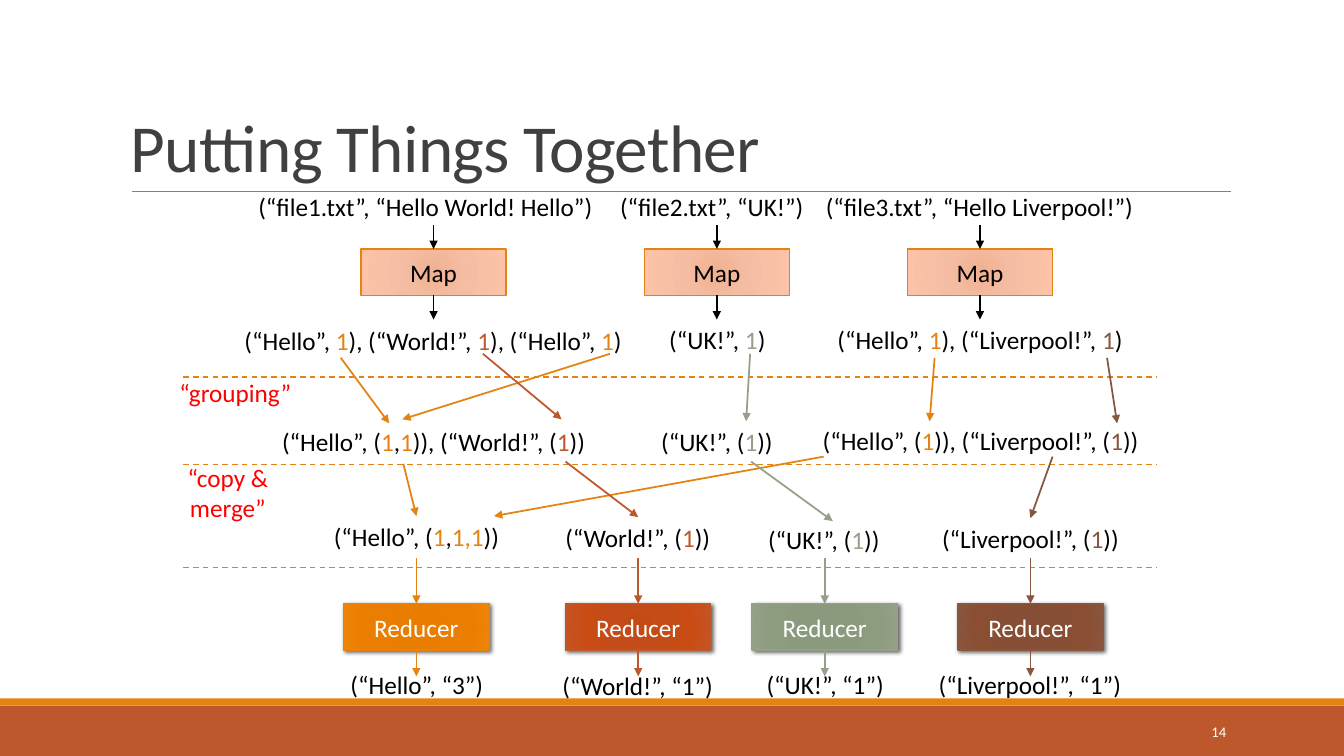
from lxml import etree
from pptx import Presentation
from pptx.dml.color import RGBColor
from pptx.enum.dml import MSO_LINE
from pptx.enum.shapes import MSO_CONNECTOR, MSO_SHAPE
from pptx.enum.text import MSO_ANCHOR, PP_ALIGN
from pptx.oxml import parse_xml
from pptx.oxml.ns import nsdecls, qn
from pptx.util import Inches, Pt

RECTANGLE = MSO_SHAPE.RECTANGLE
STRAIGHT = MSO_CONNECTOR.STRAIGHT
DASH = MSO_LINE.DASH
TOP, MIDDLE, BOTTOM = MSO_ANCHOR.TOP, MSO_ANCHOR.MIDDLE, MSO_ANCHOR.BOTTOM
LEFT, CENTER, RIGHT = PP_ALIGN.LEFT, PP_ALIGN.CENTER, PP_ALIGN.RIGHT

BLACK, WHITE, RED = "000000", "FFFFFF", "FF0000"
HELLO, WORLD, UK, LIVERPOOL = "E48312", "BD582C", "94A088", "865640"
rgb = RGBColor.from_string

prs = Presentation()
prs.slide_width, prs.slide_height = Inches(13.33), Inches(7.5)
slide = prs.slides.add_slide(prs.slide_layouts[6])
shapes = slide.shapes


def write(shape, pieces, size=18, align=CENTER, anchor=TOP, wrap=True):
    """Fill a shape with one paragraph of (text, colour) pieces."""
    frame = shape.text_frame
    frame.word_wrap = wrap
    frame.vertical_anchor = anchor
    paragraph = frame.paragraphs[0]
    paragraph.alignment = align
    for text, colour in pieces:
        if text == "\n":
            paragraph.add_line_break()
            continue
        run = paragraph.add_run()
        run.text = text
        run.font.name, run.font.size = "Calibri", Pt(size)
        run.font.color.rgb = rgb(colour)
    return paragraph


def draw_line(x1, y1, x2, y2, colour, width=1.25, arrow=True):
    connector = shapes.add_connector(STRAIGHT, Inches(x1), Inches(y1), Inches(x2), Inches(y2))
    connector.line.color.rgb = rgb(colour)
    connector.line.width = Pt(width)
    if arrow:
        etree.SubElement(connector.line._get_or_add_ln(), qn("a:tailEnd"), type="triangle")
    etree.SubElement(connector._element.spPr, qn("a:effectLst"))
    return connector


# Footer bars
for top, height, colour in [(7, 0.5, WORLD), (6.93, 0.07, HELLO)]:
    bar = shapes.add_shape(RECTANGLE, 0, Inches(top), prs.slide_width, Inches(height))
    bar.shadow.inherit = False
    bar.fill.solid()
    bar.fill.fore_color.rgb = rgb(colour)
    bar.line.fill.background()

# Title, its rule and the page number
draw_line(1.31, 1.9, 12.21, 1.9, "808080", 0.5, arrow=False)
title = shapes.add_textbox(Inches(1.2), Inches(0.31), Inches(11), Inches(1.59))
heading = write(title, [("Putting Things Together", "404040")], 48, LEFT, BOTTOM)
heading.line_spacing = 0.85
heading.runs[0]._r.get_or_add_rPr().set("spc", "-50")
page_number = shapes.add_textbox(Inches(10.83), Inches(7.06), Inches(1.43), Inches(0.4))
write(page_number, [("14", WHITE)], 10.5, RIGHT, MIDDLE)

# Dashed stage dividers
for y in (3.74, 4.61, 5.63):
    draw_line(1.82, y, 11.47, y, HELLO, 1, arrow=False).line.dash_style = DASH

# Stage names
stages = [
    (1.65, 3.69, 1.37, 0.41, [("“grouping”", RED)]),
    (1.67, 4.59, 1.18, 0.59, [("“copy &", RED), ("\n", RED), ("merge”", RED)]),
]
for left, top, width, height, pieces in stages:
    stage = shapes.add_textbox(Inches(left), Inches(top), Inches(width), Inches(height))
    write(stage, pieces, anchor=MIDDLE)

# Key-value pairs: left, top, width, then black text alternating with coloured counts
pairs = [
    # input files
    (2.4, 1.85, 3.64, "(“file1.txt”, “Hello World! Hello”)", []),
    (6.04, 1.85, 2.04, "(“file2.txt”, “UK!”)", []),
    (8.07, 1.85, 3.29, "(“file3.txt”, “Hello Liverpool!”)", []),
    # mapped
    (2.24, 3.18, 4.11, "(“Hello”, |1|), (“World!”, |1|), (“Hello”, |1|)", [HELLO, WORLD, HELLO]),
    (6.53, 3.17, 1.17, "(“UK!”, |1|)", [UK]),
    (8.19, 3.17, 3.06, "(“Hello”, |1|), (“Liverpool!”, |1|)", [HELLO, LIVERPOOL]),
    # grouped
    (2.68, 4.18, 3.24, "(“Hello”, (|1|,|1|)), (“World!”, (|1|))", [HELLO, HELLO, WORLD]),
    (6.45, 4.18, 1.32, "(“UK!”, (|1|))", [UK]),
    (8.04, 4.17, 3.37, "(“Hello”, (|1|)), (“Liverpool!”, (|1|))", [HELLO, LIVERPOOL]),
    # merged
    (3.2, 5.12, 1.86, "(“Hello”, (|1|,|1,1|))", [HELLO, HELLO]),
    (5.5, 5.13, 1.65, "(“World!”, (|1|))", [WORLD]),
    (7.51, 5.15, 1.32, "(“UK!”, (|1|))", [UK]),
    (9.23, 5.14, 1.98, "(“Liverpool!”, (|1|))", [LIVERPOOL]),
    # reduced
    (3.37, 6.59, 1.53, "(“Hello”, “3”)", []),
    (5.47, 6.6, 1.71, "(“World!”, “1”)", []),
    (7.5, 6.59, 1.37, "(“UK!”, “1”)", []),
    (9.2, 6.59, 2.03, "(“Liverpool!”, “1”)", []),
]
for left, top, width, text, count_colours in pairs:
    pair = shapes.add_textbox(Inches(left), Inches(top), Inches(width), Inches(0.4))
    parts = text.split("|")
    colours = [BLACK] * len(parts)
    colours[1::2] = count_colours
    write(pair, zip(parts, colours), wrap=False)

# Map and Reducer boxes, each with an arrow in and an arrow out
MAP_STOPS = [(0, "F0B191"), (45, "F5BEA4"), (100, "FDC3A8")]
REDUCERS = [
    (3.41, HELLO, ["E57B00", "E87D00", "EB7E00", "EF8407"]),
    (5.61, WORLD, ["C44A15", "C34C18", "C94C15", "C45525"]),
    (7.46, UK, ["8A987B", "8B997D", "8D9C7E", "94A187"]),
    (9.5, LIVERPOOL, ["874C32", "864E34", "8A4E33", "8A553D"]),
]
boxes = [("Map", left, 2.47, 2.23, 3.17, HELLO, BLACK, BLACK, MAP_STOPS) for left in (3.58, 6.39, 9)]
for left, colour, shades in REDUCERS:
    stops = list(zip((0, 34, 70, 100), shades))
    boxes.append(("Reducer", left, 5.99, 5.54, 6.71, colour, colour, WHITE, stops))

for name, left, top, start, end, border, arrow_colour, text_colour, stops in boxes:
    box = shapes.add_shape(RECTANGLE, Inches(left), Inches(top), Inches(1.44), Inches(0.46))
    box.line.color.rgb = rgb(border)
    box.line.width = Pt(1)
    box.shadow.inherit = False
    box.fill.background()
    properties = box._element.spPr
    stop_xml = "".join(
        f'<a:gs pos="{position * 1000}"><a:srgbClr val="{shade}"/></a:gs>' for position, shade in stops)
    properties.replace(properties.find(qn("a:noFill")), parse_xml(
        f'<a:gradFill {nsdecls("a")} rotWithShape="1"><a:gsLst>{stop_xml}</a:gsLst><a:path path="circle">'
        '<a:fillToRect l="100000" t="100000" r="100000" b="100000"/></a:path></a:gradFill>'))
    if name == "Reducer":
        properties.find(qn("a:effectLst")).append(parse_xml(
            f'<a:outerShdw {nsdecls("a")} blurRad="38100" dist="25400" dir="2700000" rotWithShape="0">'
            '<a:srgbClr val="000000"><a:alpha val="60000"/></a:srgbClr></a:outerShdw>'))
    write(box, [(name, text_colour)], anchor=MIDDLE)
    middle = left + 0.72
    draw_line(middle, start, middle, top, arrow_colour).end_connect(box, 0)
    draw_line(middle, top + 0.46, middle, end, arrow_colour).begin_connect(box, 2)

# Arrows between the stages
flows = [
    # grouping
    (3.38, 3.55, 3.86, 4.2, HELLO),
    (6.05, 3.51, 3.99, 4.16, HELLO),
    (4.79, 3.51, 5.57, 4.16, WORLD),
    (7.44, 3.51, 7.4, 4.18, UK),
    (9.27, 3.55, 9.22, 4.18, HELLO),
    (10.98, 3.55, 11.08, 4.2, LIVERPOOL),
    # copy and merge
    (4, 4.6, 4.13, 5.12, HELLO),
    (8.17, 4.53, 4.9, 5.12, HELLO),
    (5.61, 4.58, 6.33, 5.13, WORLD),
    (7.45, 4.58, 8.26, 5.17, UK),
    (10.44, 4.53, 10.22, 5.14, LIVERPOOL),
]
for flow in flows:
    draw_line(*flow)

prs.save("out.pptx")
